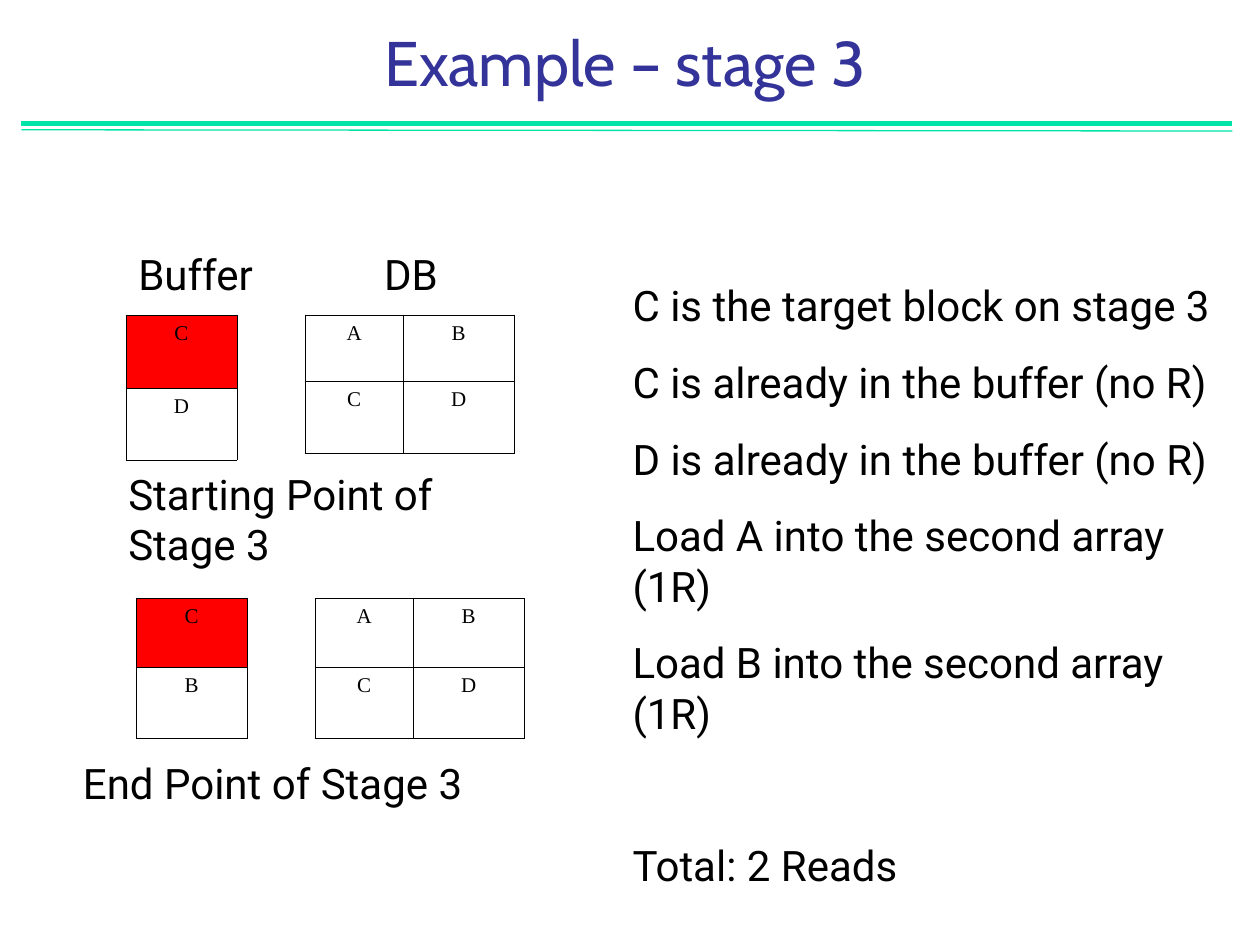
from dataclasses import dataclass
from typing import Optional

from lxml import etree
from pptx import Presentation
from pptx import util as u
from pptx.dml.color import RGBColor
from pptx.enum import shapes, text
from pptx.oxml import ns

BLACK = RGBColor(0x00, 0x00, 0x00)
RED = RGBColor(0xFF, 0x00, 0x00)
INDIGO = RGBColor(0x33, 0x33, 0x99)
GREEN = RGBColor(0x00, 0xE4, 0xA7)
BODY_FONT = "Roboto"


@dataclass
class Rule:
    start_y: float
    end_y: float
    points: float


@dataclass
class Label:
    words: str
    left: float
    top: float
    width: float
    height: float
    wrap: bool = True


@dataclass
class Grid:
    left: float
    top: float
    columns: list[float]
    rows: list[float]
    blocks: list[str]  # one string per row, one letter per cell
    target: Optional[str] = None


RULES = [Rule(0.98, 0.98, 3), Rule(1.03, 1.04, 0.75)]
GRIDS = [
    Grid(1, 2.5, [0.88], [0.58, 0.57], ["C", "D"], target="C"),
    Grid(2.42, 2.5, [0.78, 0.88], [0.53, 0.57], ["AB", "CD"]),
    Grid(1.08, 4.75, [0.88], [0.55, 0.56], ["C", "B"], target="C"),
    Grid(2.5, 4.75, [0.78, 0.88], [0.55, 0.56], ["AB", "CD"]),
]
LABELS = [
    Label("Buffer", 1, 1.92, 1.17, 0.5),
    Label("DB", 2.95, 1.92, 0.66, 0.5, wrap=False),
    Label("Starting Point of Stage 3", 0.92, 3.67, 3.25, 0.9),
    Label("End Point of Stage 3", 0.56, 5.96, 3.35, 0.5, wrap=False),
]
# Each step with the points of space before it
STEPS = [
    ("C is the target block on stage 3", 0),
    ("C is already in the buffer (no R)", 15),
    ("D is already in the buffer (no R)", 15),
    ("Load A into the second array (1R)", 15),
    ("Load B into the second array (1R)", 15),
    ("Total: 2 Reads", 58),
]


def place(box, left: float, top: float, width: float, height: float) -> None:
    box.left, box.top = u.Inches(left), u.Inches(top)
    box.width, box.height = u.Inches(width), u.Inches(height)


def write(para, words: str, size: float, font: str, color: RGBColor) -> None:
    span = para.add_run()
    span.text = words
    span.font.size = u.Pt(size)
    span.font.name = font
    span.font.color.rgb = color


def draw_rule(page, rule: Rule) -> None:
    line = page.shapes.add_connector(
        shapes.MSO_CONNECTOR.STRAIGHT,
        u.Inches(0.17), u.Inches(rule.start_y),
        u.Inches(9.78), u.Inches(rule.end_y))
    line.line.color.rgb = GREEN
    line.line.width = u.Pt(rule.points)
    etree.SubElement(line._element.spPr, ns.qn("a:effectLst"))


def draw_label(page, label: Label) -> None:
    box = page.shapes.add_textbox(
        u.Inches(label.left), u.Inches(label.top),
        u.Inches(label.width), u.Inches(label.height))
    box.text_frame.word_wrap = label.wrap
    write(box.text_frame.paragraphs[0], label.words, 24, BODY_FONT, BLACK)


def add_borders(cell) -> None:
    properties = cell._tc.get_or_add_tcPr()
    for side in ("a:lnL", "a:lnR", "a:lnT", "a:lnB"):
        edge = etree.SubElement(properties, ns.qn(side), w=str(u.Pt(0.45)))
        fill = etree.SubElement(edge, ns.qn("a:solidFill"))
        etree.SubElement(fill, ns.qn("a:srgbClr"), val=str(BLACK))


def draw_grid(page, grid: Grid) -> None:
    frame = page.shapes.add_table(
        len(grid.rows), len(grid.columns),
        u.Inches(grid.left), u.Inches(grid.top),
        u.Inches(sum(grid.columns)), u.Inches(sum(grid.rows)))
    table = frame.table
    table.first_row = table.horz_banding = False
    for column, width in zip(table.columns, grid.columns):
        column.width = u.Inches(width)
    for row, height, letters in zip(table.rows, grid.rows, grid.blocks):
        row.height = u.Inches(height)
        for cell, letter in zip(row.cells, letters):
            add_borders(cell)
            if letter == grid.target:
                cell.fill.solid()
                cell.fill.fore_color.rgb = RED
            else:
                cell.fill.background()
            para = cell.text_frame.paragraphs[0]
            para.alignment = text.PP_ALIGN.CENTER
            write(para, letter, 12, "Times New Roman", BLACK)


def fill_title(title) -> None:
    place(title, 0.17, 0.17, 9.58, 0.67)
    title.text_frame.auto_size = text.MSO_AUTO_SIZE.NONE
    title.text_frame.vertical_anchor = text.MSO_ANCHOR.BOTTOM
    para = title.text_frame.paragraphs[0]
    para.alignment = text.PP_ALIGN.CENTER
    write(para, "Example – stage 3", 36, "Cabin", INDIGO)


def fill_steps(body) -> None:
    place(body, 4.92, 2.17, 4.83, 5.2)
    frame = body.text_frame
    frame.auto_size = text.MSO_AUTO_SIZE.NONE
    for index, (words, gap) in enumerate(STEPS):
        para = frame.add_paragraph() if index else frame.paragraphs[0]
        para.space_before = u.Pt(gap)
        properties = para._p.get_or_add_pPr()
        properties.set("marL", "0")
        properties.set("indent", "0")
        etree.SubElement(properties, ns.qn("a:buNone"))
        write(para, words, 24, BODY_FONT, BLACK)


def main() -> None:
    deck = Presentation()
    deck.slide_width, deck.slide_height = u.Inches(10), u.Inches(7.5)
    page = deck.slides.add_slide(deck.slide_layouts[1])

    # Heading and double rule
    fill_title(page.shapes.title)
    for rule in RULES:
        draw_rule(page, rule)

    # Buffer and database states, with their captions
    for grid in GRIDS:
        draw_grid(page, grid)
    for label in LABELS:
        draw_label(page, label)

    # Steps of the stage
    fill_steps(page.placeholders[1])
    deck.save("out.pptx")


if __name__ == "__main__":
    main()
